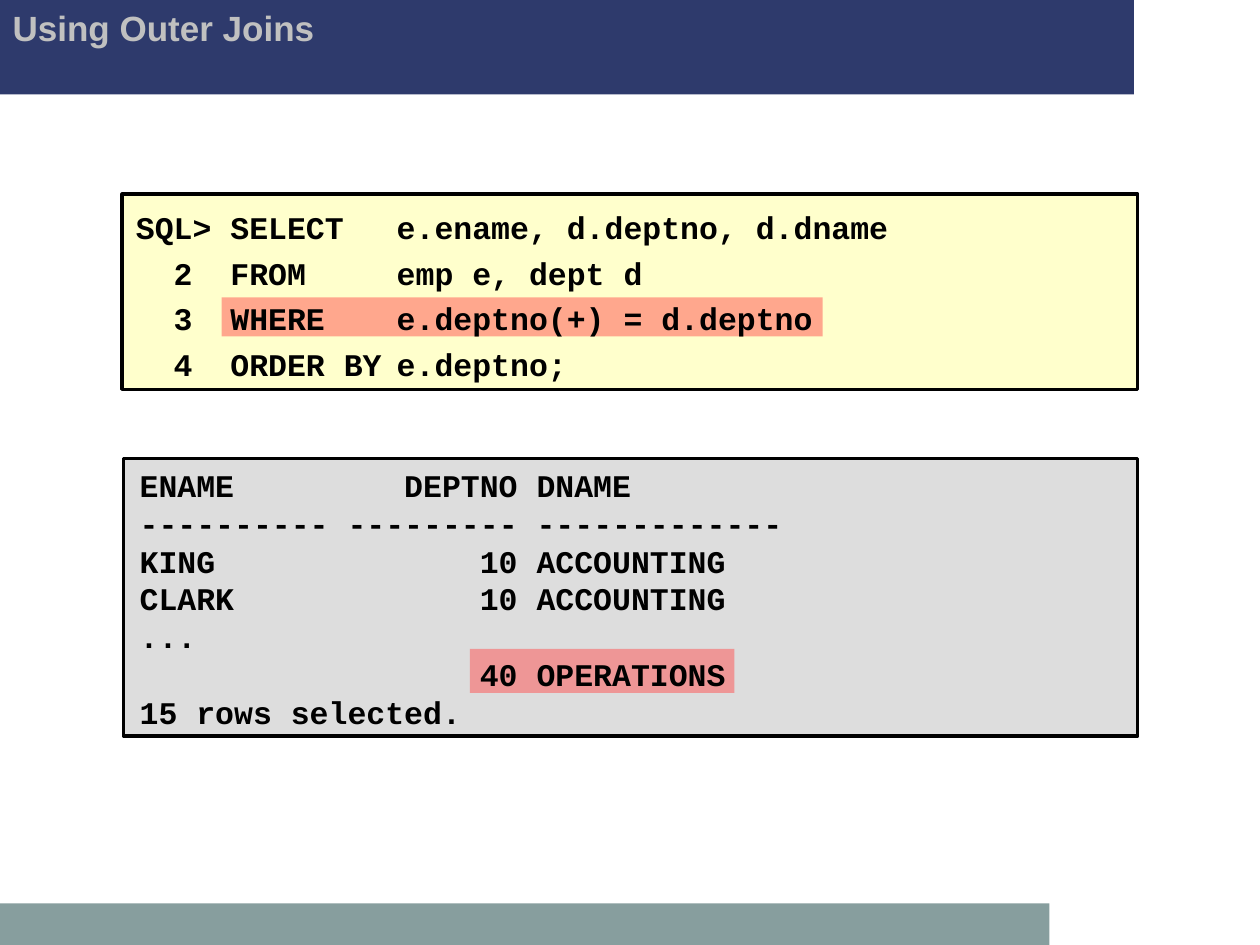
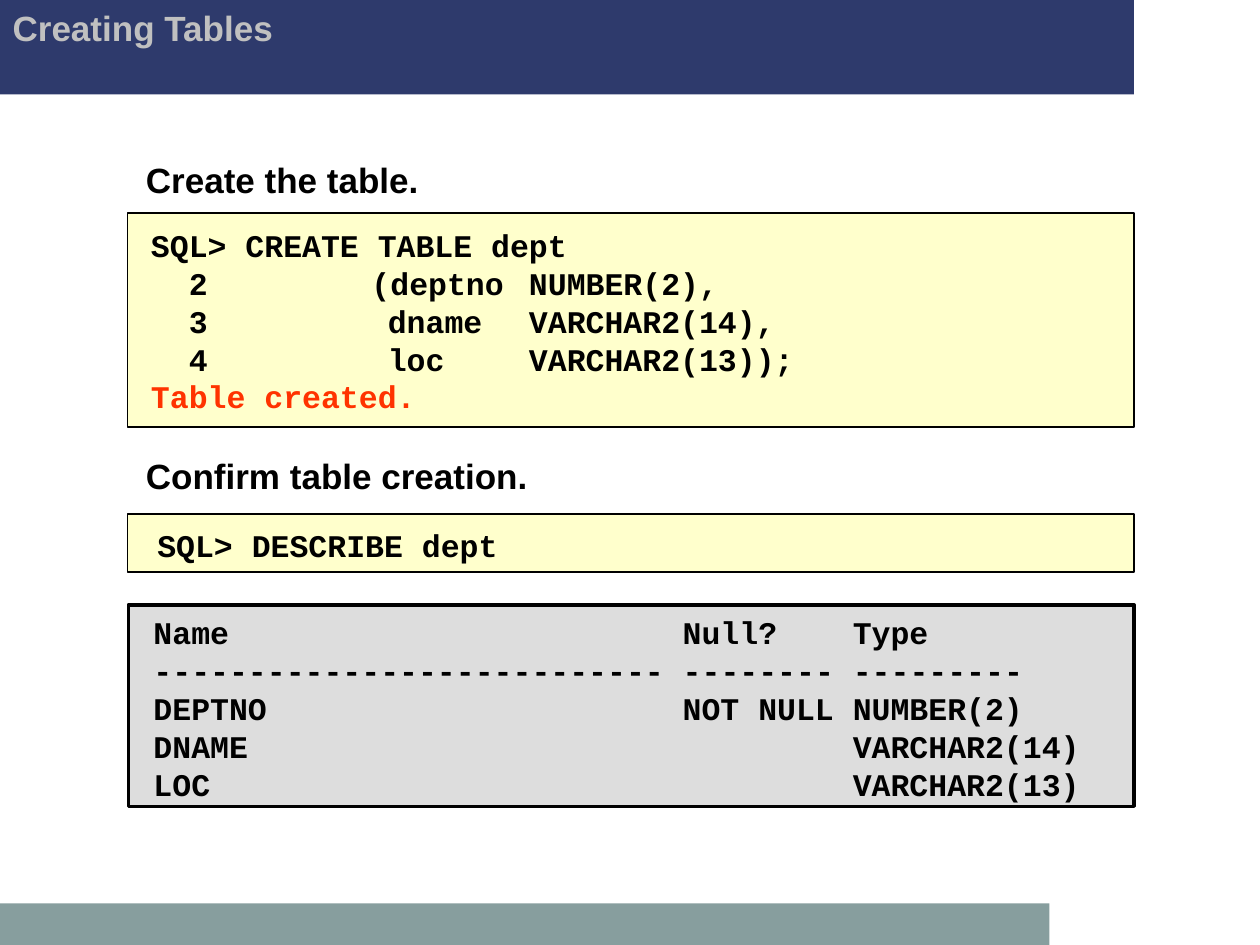
import pptx
import pptx.dml.color
import pptx.enum.shapes
import pptx.enum.text
import pptx.oxml.ns
import pptx.util
from lxml import etree

Inches = pptx.util.Inches
Pt = pptx.util.Pt
RGBColor = pptx.dml.color.RGBColor
Anchor = pptx.enum.text.MSO_ANCHOR
qn = pptx.oxml.ns.qn

NAVY = RGBColor(0x2E, 0x3A, 0x6C)
SAGE = RGBColor(0x87, 0x9E, 0x9E)
SILVER = RGBColor(0xC0, 0xC0, 0xC0)
CREAM = RGBColor(0xFF, 0xFF, 0xCC)
GREY = RGBColor(0xDD, 0xDD, 0xDD)
BLACK = RGBColor(0x00, 0x00, 0x00)
CORAL = RGBColor(0xFF, 0x50, 0x50)
RED = RGBColor(0xFF, 0x33, 0x00)

HEADING_FONT = "Arial"
CODE_FONT = "Courier New"


def add_panel(slide, place, fill, border=None):
    """Add a flat rectangle; border is the width of a black outline in points."""
    panel = slide.shapes.add_shape(
        pptx.enum.shapes.MSO_SHAPE.RECTANGLE, *map(Inches, place))
    panel.shadow.inherit = False
    panel.fill.solid()
    panel.fill.fore_color.rgb = fill
    if border:
        panel.line.color.rgb = BLACK
        panel.line.width = Pt(border)
    else:
        panel.line.fill.background()
    return panel


def add_text(slide, place, lines, font=CODE_FONT, size=18, tabs=(),
             anchor=Anchor.TOP, spacing=1.0):
    """Add a bold text box, one paragraph a line; tabs are (inches, alignment)."""
    box = slide.shapes.add_textbox(*map(Inches, place))
    frame = box.text_frame
    frame.word_wrap = True
    frame.vertical_anchor = anchor
    for index, line in enumerate(lines):
        para = frame.paragraphs[0] if index == 0 else frame.add_paragraph()
        if tabs:
            tab_list = etree.SubElement(para._p.get_or_add_pPr(), qn("a:tabLst"))
            for position, alignment in tabs:
                etree.SubElement(tab_list, qn("a:tab"),
                                 pos=str(Inches(position)), algn=alignment)
        para.line_spacing = spacing
        span = para.add_run()
        span.text = line
        span.font.name = font
        span.font.size = Pt(size)
        span.font.bold = True
        span.font.color.rgb = BLACK
    return box


deck = pptx.Presentation()
deck.slide_width = Inches(10)
deck.slide_height = Inches(7.5)
layout = deck.slide_layouts[5]

slides = []
for heading in ("Using Outer Joins", "Creating Tables"):
    slide = deck.slides.add_slide(layout)
    slides.append(slide)
    title = slide.shapes.title
    title.left, title.top = Inches(0), Inches(0)
    title.width, title.height = Inches(8.5), Inches(0.75)
    frame = title.text_frame
    frame.word_wrap = True
    frame.auto_size = pptx.enum.text.MSO_AUTO_SIZE.NONE
    frame.vertical_anchor = Anchor.TOP
    para = frame.paragraphs[0]
    para.alignment = pptx.enum.text.PP_ALIGN.LEFT
    span = para.add_run()
    span.text = heading
    span.font.name = HEADING_FONT
    span.font.size = Pt(20)
    span.font.bold = True
    span.font.color.rgb = SILVER
joins, tables = slides

# The bands move from the first slide to the shared layout
for number, (place, fill) in enumerate((((0, 0, 9, 0.75), NAVY),
                                        ((0, 7.17, 8.33, 0.33), SAGE))):
    band = add_panel(joins, place, fill)
    band.element.nvSpPr.cNvPr.set("id", str(101 + number))
    layout.shapes.element.insert(2 + number, band.element)

# Using Outer Joins
add_panel(joins, (0.97, 1.54, 8.06, 1.55), CREAM, 2)
add_panel(joins, (0.98, 3.64, 8.05, 2.2), GREY, 2)
for place in ((1.76, 2.36, 4.77, 0.31), (3.73, 5.15, 2.1, 0.35)):
    highlight = add_panel(joins, place, CORAL)
    color = highlight.element.spPr.find(qn("a:solidFill"))[0]
    etree.SubElement(color, qn("a:alpha"), val="50000")

add_text(joins, (0.98, 1.53, 8.08, 1.57), [
    "SQL> SELECT\te.ename, d.deptno, d.dname",
    "  2\tFROM\temp e, dept d",
    "  3\tWHERE\te.deptno(+) = d.deptno",
    "  4\tORDER BY\te.deptno;",
], tabs=((0.75, "l"), (2.07, "l")), anchor=Anchor.MIDDLE, spacing=1.2)

add_text(joins, (1.01, 3.65, 8.02, 2.2), [
    "ENAME\tDEPTNO\tDNAME",
    "---------- --------- -------------",
    "KING\t10\tACCOUNTING",
    "CLARK\t10\tACCOUNTING",
    "...",
    "\t40\tOPERATIONS",
    "15 rows selected.",
], tabs=((3, "r"), (3.15, "l")))

# Creating Tables
add_panel(tables, (1.02, 4.8, 7.98, 1.6), GREY, 2)
add_panel(tables, (1.01, 1.69, 7.99, 1.7), CREAM, 0.75)
add_panel(tables, (1.01, 4.08, 7.99, 0.46), CREAM, 0.75)

for top, step in ((1.21, "Create the table."), (3.56, "Confirm table creation.")):
    add_text(tables, (1.06, top, 7.96, 0.45), [step], HEADING_FONT, 20)

creation = add_text(tables, (1.1, 1.83, 8, 1.43), [
    "SQL> CREATE TABLE dept",
    "  2\t(deptno \tNUMBER(2),",
    "  3\t\tdname \tVARCHAR2(14),",
    "  4\t\tloc \tVARCHAR2(13));",
    "Table created.",
], tabs=((1.75, "l"), (1.88, "l"), (3, "l")), anchor=Anchor.MIDDLE)
creation.text_frame.paragraphs[-1].runs[0].font.color.rgb = RED

add_text(tables, (1.15, 4.09, 8, 0.47), ["SQL> DESCRIBE dept"], anchor=Anchor.MIDDLE)

add_text(tables, (0.97, 4.82, 7.8, 1.6), [
    " Name\tNull?\tType",
    " --------------------------- -------- ---------",
    " DEPTNO\tNOT NULL\tNUMBER(2)",
    " DNAME\t\tVARCHAR2(14)",
    " LOC\t\tVARCHAR2(13)",
], tabs=((4.35, "l"), (5.7, "l")))

deck.save("out.pptx")
